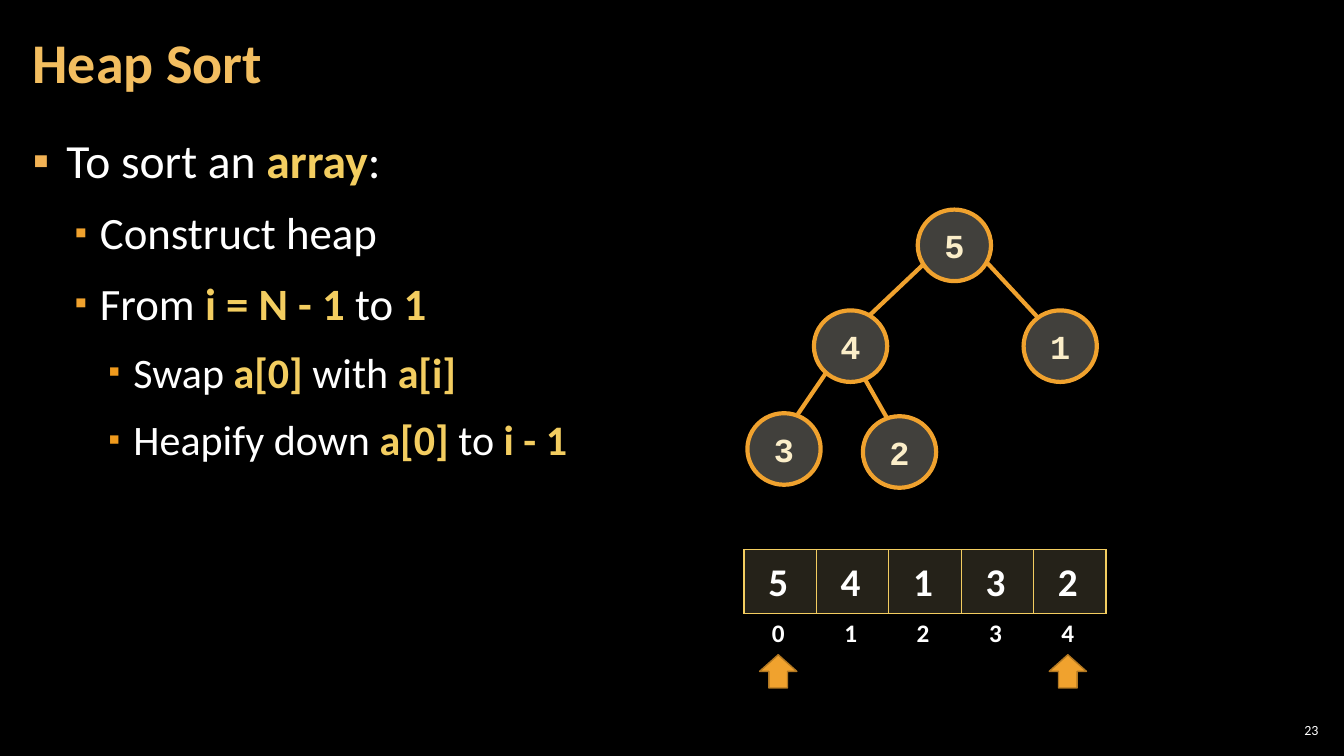
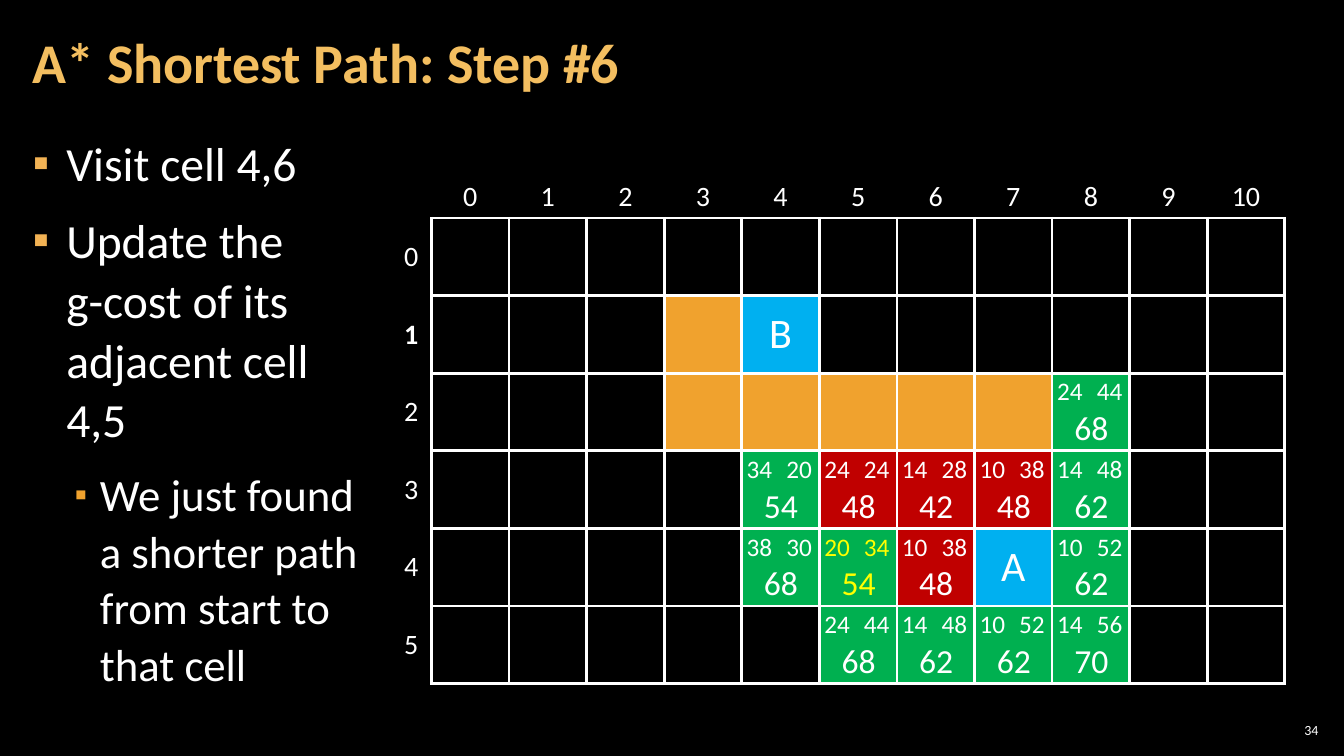
from lxml.etree import SubElement
from pptx import Presentation
from pptx.dml.color import RGBColor
from pptx.enum.shapes import MSO_CONNECTOR, MSO_SHAPE
from pptx.enum.text import MSO_ANCHOR, MSO_AUTO_SIZE, PP_ALIGN
from pptx.oxml.ns import qn
from pptx.util import Emu, Pt

# Shared look; every length is counted in squares of a 160 x 90 grid
SLIDE_WIDTH, SLIDE_HEIGHT = Emu(12192000), Emu(6858000)
SQUARE = SLIDE_WIDTH / 160
COLORS = {
    "background": "000000", "text": "FFFFFF", "title": "F3BE60",
    "highlight": "F3CD60", "orange": "F0A22E", "arrow edge": "B27822",
    "node": "D9D5C7", "node text": "FBEEC9", "array": "7C7154",
    "end": "00B0F0", "open": "00B050", "closed": "C00000", "updated": "FFFF00",
    "bullet 0": "F2B254", "bullet 1": "F0A22E", "bullet 2": "EF9A1D",
}
BODY_FONT, CODE_FONT = "Calibri", "Courier New"
TITLE_BOX = (2.45, 0.5, 125.6, 14.5)
BODY_BOX = (2.45, 15.1, 154.9, 73.1)
NUMBER_BOX = (151.85, 85.7, 5.6, 2.5)
# Left indent, hanging indent, text size and bullet percentage of each level
LEVELS = [(4, 4, 34, 100), (8, 3, 32, 80), (12, 3, 30, 80)]
NO_TABLE_STYLE = "{2D5ABB26-0587-4C30-8999-92F81FD0307C}"


def squares(*counts):
    return [Emu(round(count * SQUARE)) for count in counts]


def color(name):
    return RGBColor.from_string(COLORS[name])


def set_font(font, size, color_name="text", bold=False, name=BODY_FONT):
    font.size, font.bold, font.name = Pt(size), bold, name
    font.color.rgb = color(color_name)


def set_margins(target, horizontal, vertical):
    target.margin_left, target.margin_right = squares(horizontal, horizontal)
    target.margin_top, target.margin_bottom = squares(vertical, vertical)


def fill_solid(fill, properties, color_name, opacity=100):
    fill.solid()
    fill.fore_color.rgb = color(color_name)
    if opacity < 100:
        hue = properties.find(qn("a:solidFill")).find(qn("a:srgbClr"))
        SubElement(hue, qn("a:alpha"), val=str(opacity * 1000))


def set_line(line, color_name, width):
    line.color.rgb = color(color_name)
    line.width = Pt(width)


def add_text(shapes, box, text, size, color_name="text", align=PP_ALIGN.CENTER,
             bold=False):
    text_box = shapes.add_textbox(*squares(*box))
    frame = text_box.text_frame
    frame.word_wrap = True
    paragraph = frame.paragraphs[0]
    paragraph.text, paragraph.alignment = text, align
    set_font(paragraph.font, size, color_name, bold)
    return frame


def add_shape(slide, kind, box, fill_name, line_name, line_width, opacity=100):
    shape = slide.shapes.add_shape(kind, *squares(*box))
    shape.shadow.inherit = False
    fill_solid(shape.fill, shape.element.spPr, fill_name, opacity)
    set_line(shape.line, line_name, line_width)
    return shape


# Tables
def add_plain_table(slide, left, top, widths, heights):
    box = squares(left, top, sum(widths), sum(heights))
    frame = slide.shapes.add_table(len(heights), len(widths), *box)
    frame.element.find(".//" + qn("a:tableStyleId")).text = NO_TABLE_STYLE
    table = frame.table
    table.first_row = table.horz_banding = False
    for column, width in zip(table.columns, squares(*widths)):
        column.width = width
    for row, height in zip(table.rows, squares(*heights)):
        row.height = height
    return table


def style_cell(cell, text="", size=18, bold=False, sides="", edge="text",
               edge_width=1, fill_name=None, opacity=100):
    set_margins(cell, 0, 0)
    cell.vertical_anchor = MSO_ANCHOR.MIDDLE
    properties = cell._tc.get_or_add_tcPr()
    for side in sides:
        line = SubElement(properties, qn(f"a:ln{side}"), w=str(Pt(edge_width)))
        solid = SubElement(line, qn("a:solidFill"))
        SubElement(solid, qn("a:srgbClr"), val=COLORS[edge])
    if fill_name:
        fill_solid(cell.fill, properties, fill_name, opacity)
    else:
        cell.fill.background()
    if text:
        paragraph = cell.text_frame.paragraphs[0]
        paragraph.text, paragraph.alignment = text, PP_ALIGN.CENTER
        set_font(paragraph.font, size, bold=bold)


# Title, list and slide number
def add_bullet(paragraph, level, text, line_spacing, first):
    """Write a list item; parts between bars are highlighted."""
    indent, hanging, size, percent = LEVELS[level]
    left, first_line = squares(indent, -hanging)
    properties = paragraph._p.get_or_add_pPr()
    properties.set("marL", str(left))
    properties.set("indent", str(first_line))
    bullet_color = SubElement(properties, qn("a:buClr"))
    SubElement(bullet_color, qn("a:srgbClr"), val=COLORS[f"bullet {level}"])
    SubElement(properties, qn("a:buSzPct"), val=str(percent * 1000))
    SubElement(properties, qn("a:buChar"), char="▪")
    paragraph.level = level
    paragraph.line_spacing = line_spacing
    paragraph.space_before = Pt(0 if first else 6)
    paragraph.space_after = Pt(6)
    set_font(paragraph.font, size)
    for part_index, part in enumerate(text.split("|")):
        for line_index, line in enumerate(part.split("\n")):
            if line_index:
                paragraph.add_line_break()
            run = paragraph.add_run()
            run.text = line
            if part_index % 2:
                run.font.bold = True
                run.font.color.rgb = color("highlight")


def place_placeholder(placeholder, box, anchor):
    placeholder.left, placeholder.top, placeholder.width, placeholder.height = squares(*box)
    frame = placeholder.text_frame
    frame.auto_size, frame.word_wrap = MSO_AUTO_SIZE.NONE, True
    frame.vertical_anchor = anchor
    set_margins(frame, 1.44, 0.5)
    return frame


def add_content_slide(presentation, title, items, number, line_spacing=1.0):
    slide = presentation.slides.add_slide(presentation.slide_layouts[1])
    title_frame = place_placeholder(slide.shapes.title, TITLE_BOX, MSO_ANCHOR.MIDDLE)
    heading = title_frame.paragraphs[0]
    heading.text, heading.alignment = title, PP_ALIGN.LEFT
    heading.line_spacing = 0.9
    set_font(heading.font, 40, "title", bold=True)

    body = place_placeholder(slide.placeholders[1], BODY_BOX, MSO_ANCHOR.TOP)
    for index, (level, text) in enumerate(items):
        paragraph = body.add_paragraph() if index else body.paragraphs[0]
        add_bullet(paragraph, level, text, line_spacing, first=index == 0)

    number_frame = add_text(slide.shapes, NUMBER_BOX, number, 10, align=PP_ALIGN.RIGHT)
    number_frame.vertical_anchor = MSO_ANCHOR.MIDDLE
    set_margins(number_frame, 0.5, 0.5)
    return slide


# Heap drawn as a tree
def add_heap_tree(slide, left, top):
    nodes = {"5": (20.28, 0), "1": (32.88, 12), "4": (7.92, 12),
             "3": (0, 24.24), "2": (13.75, 24.6)}
    edges = [(21, 6.48, 14.4, 12.72), (9.36, 19.44, 6, 24.36),
             (14.04, 20.28, 16.56, 24.72), (28.56, 6.36, 34.68, 12.96)]
    for start_x, start_y, end_x, end_y in edges:
        points = squares(left + start_x, top + start_y, left + end_x, top + end_y)
        edge = slide.shapes.add_connector(MSO_CONNECTOR.STRAIGHT, *points)
        set_line(edge.line, "orange", 3)
        SubElement(edge.element.spPr, qn("a:effectLst"))
    for value, (x, y) in nodes.items():
        node = add_shape(slide, MSO_SHAPE.OVAL, (left + x, top + y, 8.72, 8.52),
                         "node", "orange", 3, opacity=30)
        frame = node.text_frame
        frame.word_wrap, frame.vertical_anchor = False, MSO_ANCHOR.MIDDLE
        paragraph = frame.paragraphs[0]
        paragraph.text, paragraph.alignment = value, PP_ALIGN.CENTER
        set_font(paragraph.font, 24, "node text", True, CODE_FONT)


# Array with its values, its indexes and arrows under the swapped ones
def add_heap_array(slide, left, top, values, marked):
    cell_width, cell_height, index_height = 8.62, 7.6, 4.8
    value_width, value_height = 4.8, 6.84
    arrow_width, arrow_height = 4.44, 3.96
    index_left, index_top = left - 0.24, top + cell_height
    centers = [index_left + (index + 0.5) * cell_width for index in range(len(values))]
    widths = [cell_width] * len(values)

    array = add_plain_table(slide, left, top, widths, [cell_height])
    for cell in array.iter_cells():
        style_cell(cell, sides="LRTB", edge="highlight", fill_name="array", opacity=30)
    for center, value in zip(centers, values):
        add_text(slide.shapes,
                 (center - value_width / 2, top + 0.3, value_width, value_height),
                 value, 28, bold=True)
    indexes = add_plain_table(slide, index_left, index_top, widths, [index_height])
    for index, cell in enumerate(indexes.iter_cells()):
        style_cell(cell, str(index), 18, bold=True)
    for index in marked:
        add_shape(slide, MSO_SHAPE.UP_ARROW,
                  (centers[index] - arrow_width / 2, index_top + index_height + 0.1,
                   arrow_width, arrow_height),
                  "orange", "arrow edge", 1)


# Search grid with the costs of its cells
def add_costs(slide, left, top, start_cost, end_cost, color_name):
    shapes = slide.shapes.add_group_shape().shapes
    add_text(shapes, (left + 0.15, top + 3.42, 9, 6), str(start_cost + end_cost),
             24, color_name)
    for offset, cost in ((-0.6, start_cost), (4.12, end_cost)):
        add_text(shapes, (left + offset, top - 0.3, 6, 4.8), str(cost),
                 18, color_name, PP_ALIGN.LEFT)


def add_search_grid(slide, left, top):
    row_count, column_count, cell_size = 6, 11, 9.24
    label_width, label_height = 4.8, 4.95
    ends = {(1, 4): "B", (4, 7): "A"}
    walls = {(1, 3)} | {(2, column) for column in range(3, 8)}
    closed = {(3, 5), (3, 6), (3, 7), (4, 6)}
    updated = (4, 5)
    costs = {
        (2, 8): (24, 44),
        (3, 4): (34, 20), (3, 5): (24, 24), (3, 6): (14, 28), (3, 7): (10, 38),
        (3, 8): (14, 48),
        (4, 4): (38, 30), (4, 5): (20, 34), (4, 6): (10, 38), (4, 8): (10, 52),
        (5, 5): (24, 44), (5, 6): (14, 48), (5, 7): (10, 52), (5, 8): (14, 56),
    }
    fills = {**dict.fromkeys(costs, "open"), **dict.fromkeys(closed, "closed"),
             **dict.fromkeys(walls, "orange"), **dict.fromkeys(ends, "end")}

    table = add_plain_table(slide, left, top,
                            [label_width] + [cell_size] * column_count,
                            [label_height] + [cell_size] * row_count)
    style_cell(table.cell(0, 0))
    for column in range(column_count):
        style_cell(table.cell(0, column + 1), str(column), 20, sides="B", edge_width=2.25)
    for row in range(row_count):
        style_cell(table.cell(row + 1, 0), str(row), 20, row == 1, "R", edge_width=2.25)
        for column in range(column_count):
            place = (row, column)
            style_cell(table.cell(row + 1, column + 1), ends.get(place, ""), 30,
                       sides="LRTB", edge_width=2.25, fill_name=fills.get(place))
    for (row, column), (start_cost, end_cost) in costs.items():
        add_costs(slide, left + label_width + column * cell_size,
                  top + label_height + row * cell_size, start_cost, end_cost,
                  "updated" if (row, column) == updated else "text")


def main():
    presentation = Presentation()
    presentation.slide_width, presentation.slide_height = SLIDE_WIDTH, SLIDE_HEIGHT
    background = presentation.slide_master.background.fill
    background.solid()
    background.fore_color.rgb = color("background")

    heap_slide = add_content_slide(presentation, "Heap Sort", [
        (0, "To sort an |array|:"),
        (1, "Construct heap"),
        (1, "From |i = N - 1 |to |1|"),
        (2, "Swap| a[0] |with| a[i]|"),
        (2, "Heapify down| a[0] |to |i - 1|"),
    ], "23")
    add_heap_tree(heap_slide, 88.98, 24.95)
    add_heap_array(heap_slide, 88.58, 65.45, "54132", marked=(0, 4))

    path_slide = add_content_slide(presentation, "A* Shortest Path: Step #6", [
        (0, "Visit cell 4,6"),
        (0, "Update the\ng-cost of its\nadjacent cell\n4,5"),
        (1, "We just found\na shorter path\nfrom start to\nthat cell"),
    ], "34", line_spacing=1.05)
    add_search_grid(path_slide, 46.56, 21.02)

    presentation.save("out.pptx")


if __name__ == "__main__":
    main()
